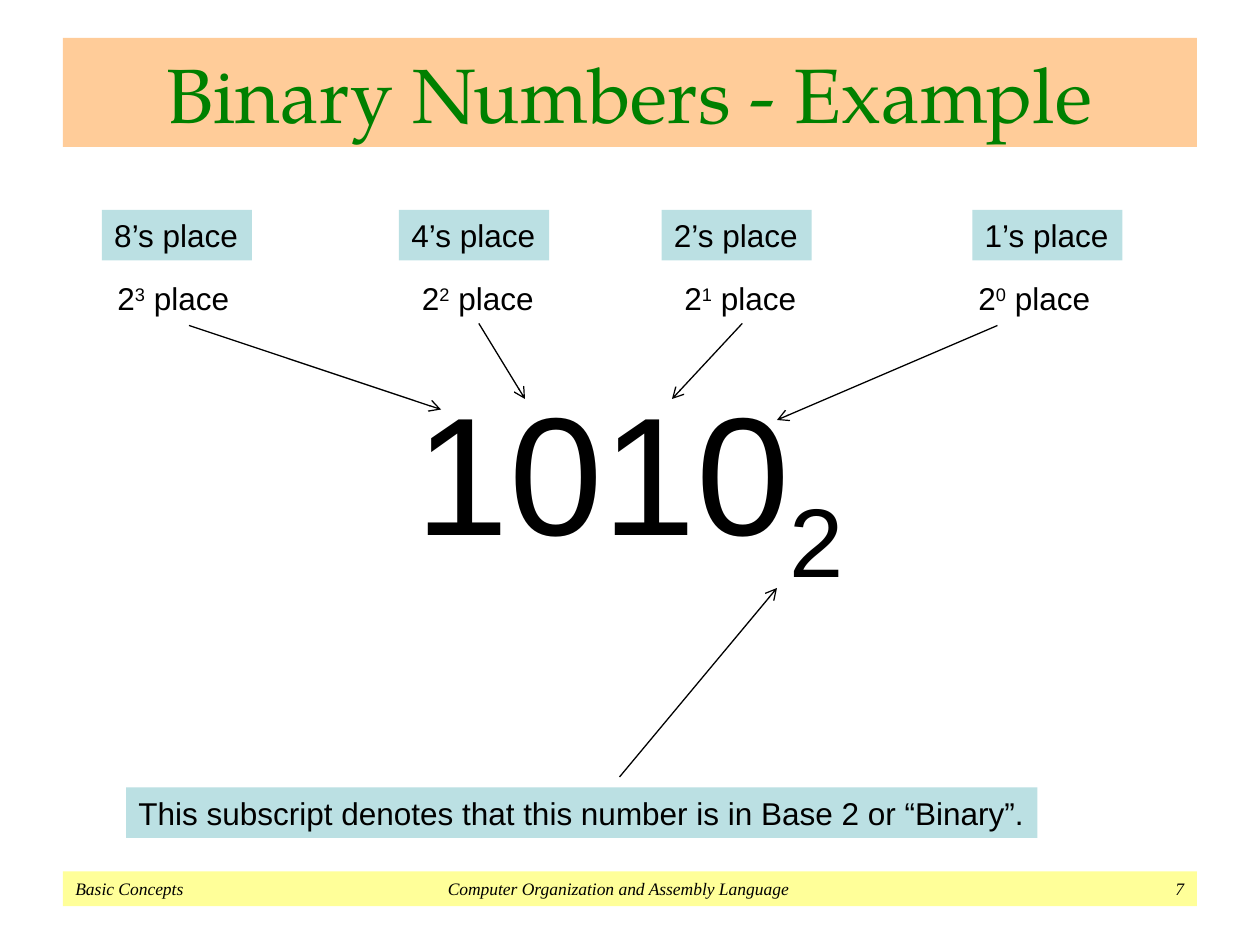
from lxml import etree
from pptx import Presentation, util as u
from pptx.dml import color
from pptx.enum import shapes, text
from pptx.oxml import ns

presentation = Presentation()
presentation.slide_width = u.Inches(10)
presentation.slide_height = u.Inches(7.5)
slide = presentation.slides.add_slide(presentation.slide_layouts[6])
COLUMN = presentation.slide_width / 120
ROW = presentation.slide_height / 90


def rgb(value):
    return color.RGBColor.from_string(value)


def add_text(box, *parts, fill=None, font="Arial", size=18, ink="000000", italic=False,
             align=text.PP_ALIGN.LEFT, anchor=text.MSO_ANCHOR.TOP, wrap=True, tabs=()):
    left, top, width, height = box
    place = [int(left * COLUMN), int(top * ROW), int(width * COLUMN), int(height * ROW)]
    if fill:
        shape = slide.shapes.add_shape(shapes.MSO_SHAPE.RECTANGLE, *place)
        shape.shadow.inherit = False
        shape.fill.solid()
        shape.fill.fore_color.rgb = rgb(fill)
        shape.line.fill.background()
    else:
        shape = slide.shapes.add_textbox(*place)
    frame = shape.text_frame
    frame.word_wrap = wrap
    frame.vertical_anchor = anchor
    paragraph = frame.paragraphs[0]
    paragraph.alignment = align
    if tabs:
        stops = etree.SubElement(paragraph._p.get_or_add_pPr(), ns.qn("a:tabLst"))
        for column, side in tabs:
            etree.SubElement(stops, ns.qn("a:tab"), pos=str(int(column * COLUMN)), algn=side)
    for words, baseline in parts:
        run = paragraph.add_run()
        run.text = words
        run.font.name = font
        run.font.size = u.Pt(size)
        run.font.italic = italic
        run.font.color.rgb = rgb(ink)
        if baseline:
            run._r.get_or_add_rPr().set("baseline", str(baseline * 1000))


add_text((6, 83, 108, 3.3), ("Basic Concepts\tComputer Organization and Assembly Language\t7", 0),
         fill="FFFF99", font="Times New Roman", size=10, italic=True,
         anchor=text.MSO_ANCHOR.MIDDLE, tabs=[(51.7, "ctr"), (105.6, "r")])
add_text((6, 3.6, 108, 10.4), ("Binary Numbers - Example", 0), fill="FFCC99",
         font="TeX Gyre Pagella", size=44, ink="008000",
         align=text.PP_ALIGN.CENTER, anchor=text.MSO_ANCHOR.MIDDLE)
add_text((0, 34.4, 120, 20.6), ("1010", 0), ("2", -25), size=96, align=text.PP_ALIGN.CENTER)

places = [(3, 9.7, 10), (2, 38, 39), (1, 63, 64), (0, 92.6, 92)]
for exponent, value_left, power_left in places:
    add_text((value_left, 20, 14.3, 4.8), (f"{2 ** exponent}’s place", 0),
             fill="BBE0E3", wrap=False)
    add_text((power_left, 26, 13.3, 4.8), ("2", 0), (str(exponent), 30), (" place", 0), wrap=False)

add_text((12, 75, 86.8, 4.8),
         ("This subscript denotes that this number is in Base 2 or “Binary”.", 0),
         fill="BBE0E3", wrap=False)

arrows = [(18, 31, 42, 39), (45.6, 30.8, 50, 38), (70.7, 30.8, 64, 38),
          (95, 31, 74, 40), (59, 74, 74, 56)]
for start_column, start_row, end_column, end_row in arrows:
    arrow = slide.shapes.add_connector(
        shapes.MSO_CONNECTOR.STRAIGHT, int(start_column * COLUMN), int(start_row * ROW),
        int(end_column * COLUMN), int(end_row * ROW))
    arrow.line.color.rgb = rgb("000000")
    arrow.line.width = u.Pt(0.75)
    etree.SubElement(arrow.line._get_or_add_ln(), ns.qn("a:tailEnd"), type="arrow")
    etree.SubElement(arrow._element.spPr, ns.qn("a:effectLst"))

presentation.save("out.pptx")
